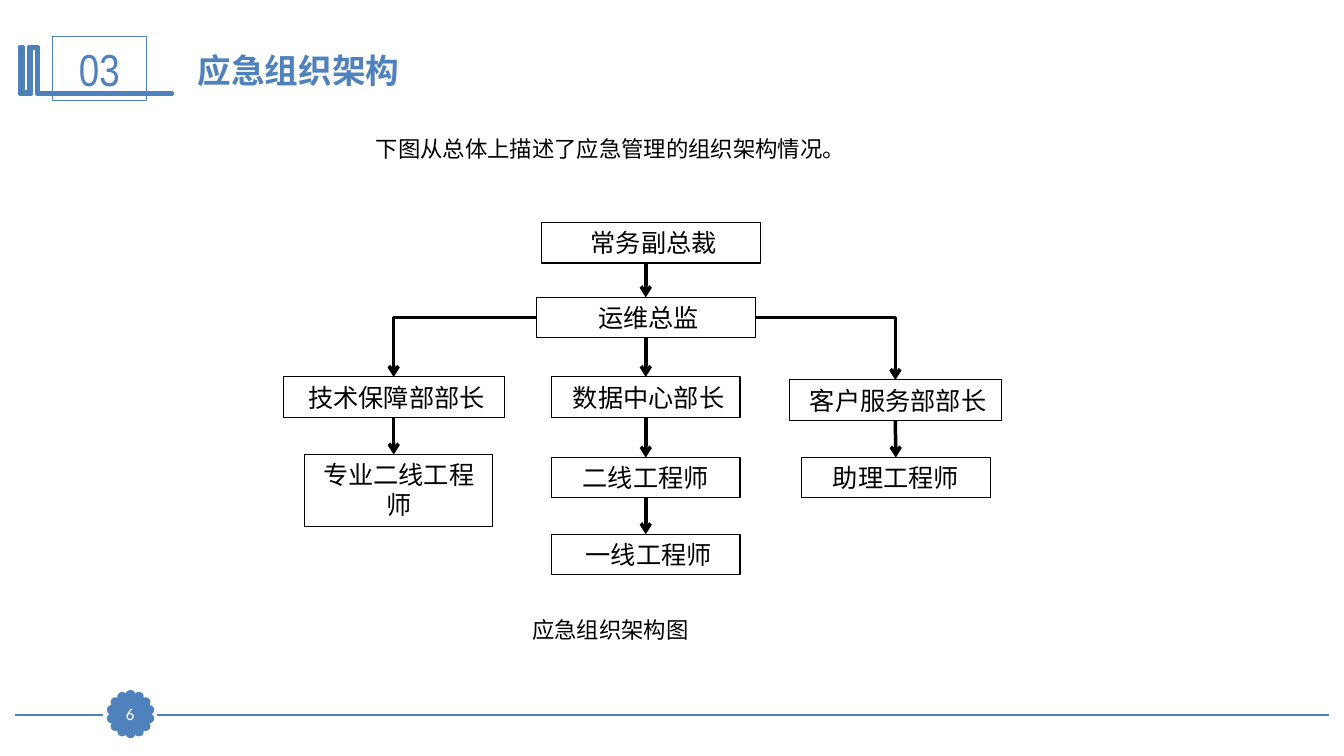
from math import cos, pi, sin

from lxml import etree
from pptx import Presentation
from pptx.dml.color import RGBColor
from pptx.enum.lang import MSO_LANGUAGE_ID as Language
from pptx.enum.shapes import MSO_CONNECTOR as Connector, MSO_SHAPE as Preset
from pptx.enum.text import MSO_ANCHOR as Anchor, PP_ALIGN as Align
from pptx.oxml.ns import qn
from pptx.util import Inches, Pt

BLUE, BLACK, WHITE, GREEN = "4F81BD", "000000", "FFFFFF", "339933"
CHINESE_FONT = "Noto Sans CJK SC"


def color(hex_string):
    return RGBColor.from_string(hex_string)


def write(shape, text, size, font_name, font_color, align=Align.LEFT,
          anchor=Anchor.TOP, wrap=True, bold=False):
    frame = shape.text_frame
    frame.word_wrap = wrap
    frame.vertical_anchor = anchor
    paragraph = frame.paragraphs[0]
    paragraph.alignment = align
    run = paragraph.add_run()
    run.text = text
    formats = {"size": Pt(size), "name": font_name, "bold": bold,
               "language_id": Language.SIMPLIFIED_CHINESE}
    for name, value in formats.items():
        setattr(run.font, name, value)
    run.font.color.rgb = color(font_color)
    properties = run.font._element
    etree.SubElement(properties, qn("a:ea"), typeface=CHINESE_FONT)
    return paragraph


presentation = Presentation()
presentation.slide_width = Inches(13.33)
presentation.slide_height = Inches(7.5)
slide = presentation.slides.add_slide(presentation.slide_layouts[5])
shapes = slide.shapes

# Title
title = shapes.title
title_place = {"left": 1.86, "top": 0.44, "width": 9.69, "height": 0.51}
for name, value in title_place.items():
    setattr(title, name, Inches(value))
write(title, "应急组织架构", 24, CHINESE_FONT, BLUE, bold=True)

# Footer rules
for start, end in [(1.56, 13.18), (0.15, 1.02)]:
    rule = shapes.add_connector(Connector.STRAIGHT, Inches(end), Inches(7.09),
                                Inches(start), Inches(7.09))
    rule.line.color.rgb = color(BLUE)
    rule.line.width = Pt(1.25)
    etree.SubElement(rule._element.spPr, qn("a:effectLst"))

# Page badge: a ring of dots around a square
DOTS, DOT_SIZE, RING_RADIUS = 14, 0.07, 0.19
for index in range(DOTS):
    angle = 2 * pi * index / DOTS
    dot = shapes.add_shape(
        Preset.OVAL,
        Inches(1.26 + RING_RADIUS * sin(angle)),
        Inches(7.05 - RING_RADIUS * cos(angle)),
        Inches(DOT_SIZE), Inches(DOT_SIZE))
    dot.shadow.inherit = False
    dot.fill.solid()
    dot.fill.fore_color.rgb = color(BLUE)
    dot.line.color.rgb = color(BLUE)
    dot.line.width = Pt(2)

# Folded ribbon beside the section number
ribbon_points = [
    (0.37, 0.46), (0.38, 0.46), (0.38, 0.92), (1.71, 0.92), (1.71, 0.94),
    (0.36, 0.94), (0.36, 0.48), (0.31, 0.48), (0.31, 0.94), (0.19, 0.94),
    (0.19, 0.46), (0.23, 0.46), (0.23, 0.91), (0.28, 0.91), (0.28, 0.46)]
corners = [(Inches(x), Inches(y)) for x, y in ribbon_points]
builder = shapes.build_freeform(*corners[0])
builder.add_line_segments(corners[1:], close=True)
ribbon = builder.convert_to_shape()
ribbon.shadow.inherit = False
ribbon.fill.solid()
ribbon.fill.fore_color.rgb = color(GREEN)
ribbon.line.color.rgb = color(BLUE)
ribbon.line.width = Pt(2)

# Rectangles: name, place, text, size, font, font colour, line, fill
MIDDLE, CALIBRI = Anchor.MIDDLE, "Calibri"
rectangles = [
    ("section", (0.52, 0.36, 0.93, 0.64), "03", 32, "Arial Narrow", BLUE, BLUE, None),
    ("page", (1.13, 6.93, 0.32, 0.31), "6", 12, CALIBRI, WHITE, BLUE, BLUE)]
roles = [
    ("vice_president", (5.37, 2.21, 2.17, 0.4), " 常务副总裁"),
    ("director", (5.32, 2.95, 2.17, 0.4), " 运维总监"),
    ("data_center", (5.47, 3.74, 1.87, 0.4), " 数据中心部长"),
    ("second_line", (5.47, 4.54, 1.87, 0.4), "二线工程师"),
    ("first_line", (5.47, 5.3, 1.87, 0.4), " 一线工程师"),
    ("service", (7.83, 3.77, 2.1, 0.4), " 客户服务部部长"),
    ("assistant", (7.95, 4.54, 1.87, 0.4), "助理工程师"),
    ("technical", (2.81, 3.74, 2.19, 0.4), " 技术保障部部长"),
    ("specialist", (3.02, 4.51, 1.87, 0.71), "专业二线工程师")]
for name, place, text in roles:
    rectangles.append((name, place, text, 18, CALIBRI, BLACK, BLACK, None))

boxes = {}
for name, place, text, size, font_name, font_color, line_color, fill in rectangles:
    box = shapes.add_shape(Preset.RECTANGLE, *map(Inches, place))
    box.shadow.inherit = False
    if fill:
        box.fill.solid()
        box.fill.fore_color.rgb = color(fill)
    else:
        box.fill.background()
    box.line.color.rgb = color(line_color)
    box.line.width = Pt(0.75)
    anchor = MIDDLE if line_color == BLUE else Anchor.TOP
    write(box, text, size, font_name, font_color, Align.CENTER, anchor)
    boxes[name] = box
for side in ("left", "top", "right", "bottom"):
    setattr(boxes["page"].text_frame, "margin_" + side, 0)

# Introduction and caption
introduction = shapes.add_textbox(*map(Inches, (3.63, 1.29, 4.91, 0.37)))
write(introduction, "下图从总体上描述了应急管理的组织架构情况。", 16, CALIBRI, BLACK, wrap=False)
caption = shapes.add_textbox(*map(Inches, (5.18, 5.93, 1.81, 0.51)))
write(caption, "应急组织架构图", 16, CALIBRI, BLACK).line_spacing = 1.5

# Arrows: upper box and side, lower box, x (None where both ends are joined)
TOP, LEFT, BOTTOM, RIGHT = range(4)
arrows = [
    ("vice_president", BOTTOM, "director", 6.4),
    ("director", BOTTOM, "data_center", None),
    ("data_center", BOTTOM, "second_line", None),
    ("second_line", BOTTOM, "first_line", None),
    ("service", BOTTOM, "assistant", None),
    ("technical", BOTTOM, "specialist", 3.9),
    ("director", LEFT, "technical", None),
    ("director", RIGHT, "service", None)]
for upper_name, side, lower_name, x in arrows:
    upper, lower = boxes[upper_name], boxes[lower_name]
    kind = Connector.STRAIGHT if side == BOTTOM else Connector.ELBOW
    arrow_x = Inches(x or 0)
    arrow = shapes.add_connector(kind, arrow_x, upper.top + upper.height,
                                 arrow_x, lower.top)
    if x is None or upper_name == "technical":
        arrow.begin_connect(upper, side)
    if x is None or lower_name == "director":
        arrow.end_connect(lower, TOP)
    if x and upper_name == "technical":
        arrow.end_x = arrow.begin_x
    elif x:
        arrow.begin_x = arrow.end_x
    arrow.line.color.rgb = color(BLACK)
    arrow.line.width = Pt(2.5)
    properties = arrow._element.spPr
    if kind == Connector.ELBOW:
        properties.find(qn("a:prstGeom")).set("prst", "bentConnector2")
    etree.SubElement(properties.find(qn("a:ln")), qn("a:tailEnd"), type="arrow")
    etree.SubElement(properties, qn("a:effectLst"))

presentation.save("out.pptx")
